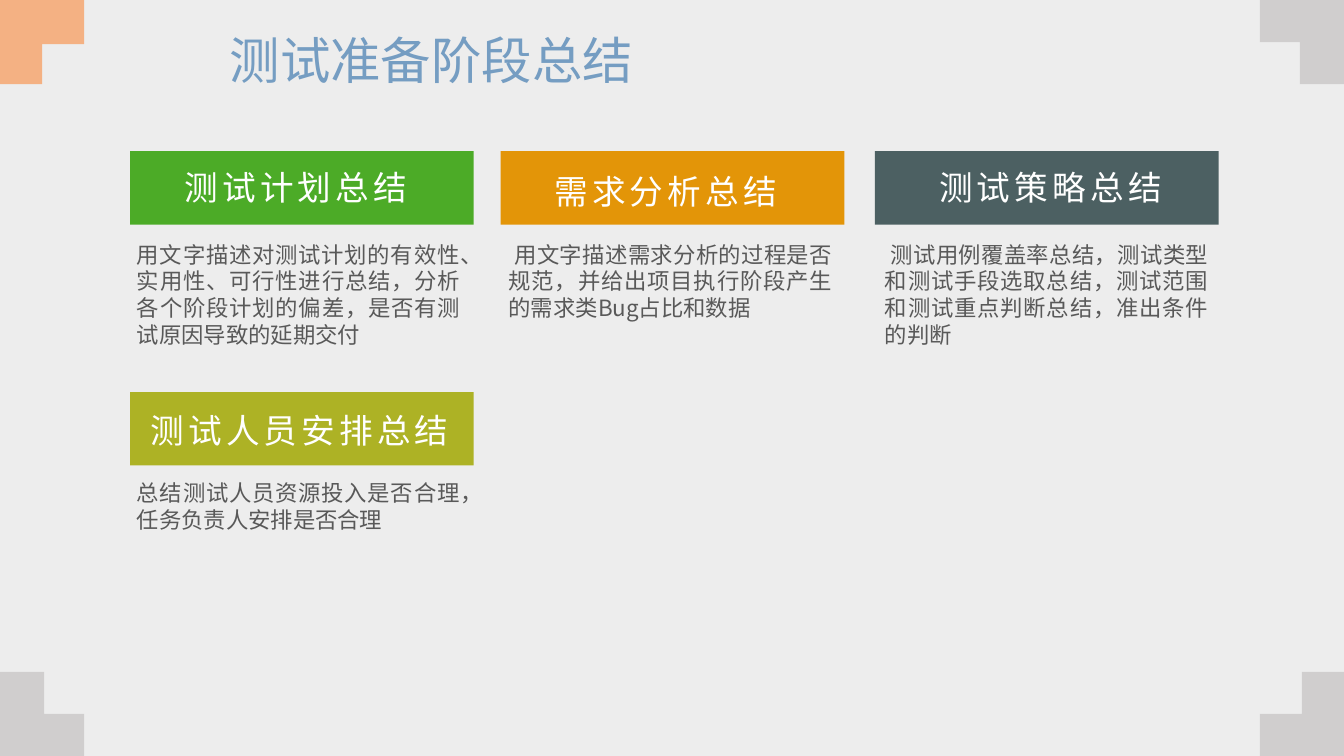
from lxml.etree import SubElement
from pptx import Presentation
from pptx.dml.color import RGBColor
from pptx.enum.shapes import MSO_SHAPE
from pptx.enum.text import MSO_ANCHOR, MSO_AUTO_SIZE, PP_ALIGN
from pptx.oxml.ns import qn
from pptx.util import Cm, Pt

FONT = "Noto Sans CJK SC"
WIDE, TALL = 33.87, 19.05
SPAN = 2.12
BAR_W, BAR_H = 8.66, 1.85
HUES = {
    "back": "EDEDED", "grey": "D0CECE", "peach": "F4B183",
    "green": "4CAB27", "orange": "E39508", "slate": "4C6062",
    "olive": "ADB225", "body": "595959", "white": "FFFFFF",
    "title": "759DC2",
}
CORNERS = [
    (0, TALL, 1, -1, 1.11, 1.06, "grey"),
    (0, 0, 1, 1, 1.06, 1.11, "peach"),
    (WIDE, 0, -1, 1, 1.11, 1.06, "grey"),
    (WIDE, TALL, -1, -1, 1.06, 1.06, "grey"),
]
CARDS = [
    ((3.28, 3.81), "green", "测试计划总结", (4.32, 4.09, 6.27),
     "用文字描述对测试计划的有效性、实用性、可行性进行总结，"
     "分析各个阶段计划的偏差，是否有测试原因导致的延期交付", (3.2, 5.94, 3)),
    ((12.62, 3.81), "orange", "需求分析总结", (13.64, 4.17, 6.27),
     " 用文字描述需求分析的过程是否规范，"
     "并给出项目执行阶段产生的需求类Bug占比和数据", (12.57, 5.94, 2.31)),
    ((22.05, 3.81), "slate", "测试策略总结", (23.34, 4.09, 6.27),
     " 测试用例覆盖率总结，测试类型和测试手段选取总结，"
     "测试范围和测试重点判断总结，准出条件的判断", (22.05, 5.94, 3)),
    ((3.28, 9.88), "olive", "测试人员安排总结", (3.45, 10.21, 8.2),
     "总结测试人员资源投入是否合理，任务负责人安排是否合理", (3.2, 11.96, 1.63)),
]


def paint(shape, hue):
    shape.shadow.inherit = False
    shape.fill.solid()
    shape.fill.fore_color.rgb = RGBColor.from_string(HUES[hue])
    shape.line.fill.background()


def add_corner(slide, x, y, dx, dy, arm, foot, hue):
    spots = [(SPAN, 0), (SPAN, foot), (arm, foot), (arm, SPAN), (0, SPAN)]
    pen = slide.shapes.build_freeform(Cm(x), Cm(y))
    pen.add_line_segments([(Cm(x + dx * a), Cm(y + dy * b)) for a, b in spots])
    paint(pen.convert_to_shape(), hue)


def add_bar(slide, x, y, hue):
    bar = slide.shapes.add_shape(
        MSO_SHAPE.RECTANGLE, Cm(x), Cm(y), Cm(BAR_W), Cm(BAR_H))
    paint(bar, hue)


def add_text(slide, area, words, size, hue, align, pitch, wrap=True, gap=0):
    box = slide.shapes.add_textbox(*map(Cm, area))
    frame = box.text_frame
    frame.word_wrap = wrap
    frame.auto_size = MSO_AUTO_SIZE.NONE
    para = frame.paragraphs[0]
    para.alignment = align
    para.line_spacing = Pt(pitch)
    run = para.add_run()
    run.text = words
    run.font.size = Pt(size)
    run.font.name = FONT
    run.font.color.rgb = RGBColor.from_string(HUES[hue])
    props = run.font._element
    SubElement(props, qn("a:ea")).set("typeface", FONT)
    if gap:
        props.set("spc", str(gap * 100))
    return frame


def add_card(slide, spot, hue, head, place, body, block):
    add_bar(slide, *spot, hue)
    left, top, high = block
    add_text(slide, (left, top, BAR_W, high), body, 16, "body",
             PP_ALIGN.JUSTIFY, 19.2)
    add_text(slide, (*place, 1.27), head, 24, "white",
             PP_ALIGN.CENTER, 28.8, wrap=False, gap=3)


def main():
    deck = Presentation()
    deck.slide_width, deck.slide_height = Cm(WIDE), Cm(TALL)
    slide = deck.slides.add_slide(deck.slide_layouts[6])
    slide.background.fill.solid()
    slide.background.fill.fore_color.rgb = RGBColor.from_string(HUES["back"])
    for corner in CORNERS:
        add_corner(slide, *corner)
    for card in CARDS:
        add_card(slide, *card)
    title = add_text(slide, (5.54, 0.71, 22.81, 1.7), "测试准备阶段总结",
                     36, "title", PP_ALIGN.LEFT, 38.9)
    title.vertical_anchor = MSO_ANCHOR.MIDDLE
    deck.save("out.pptx")


main()
